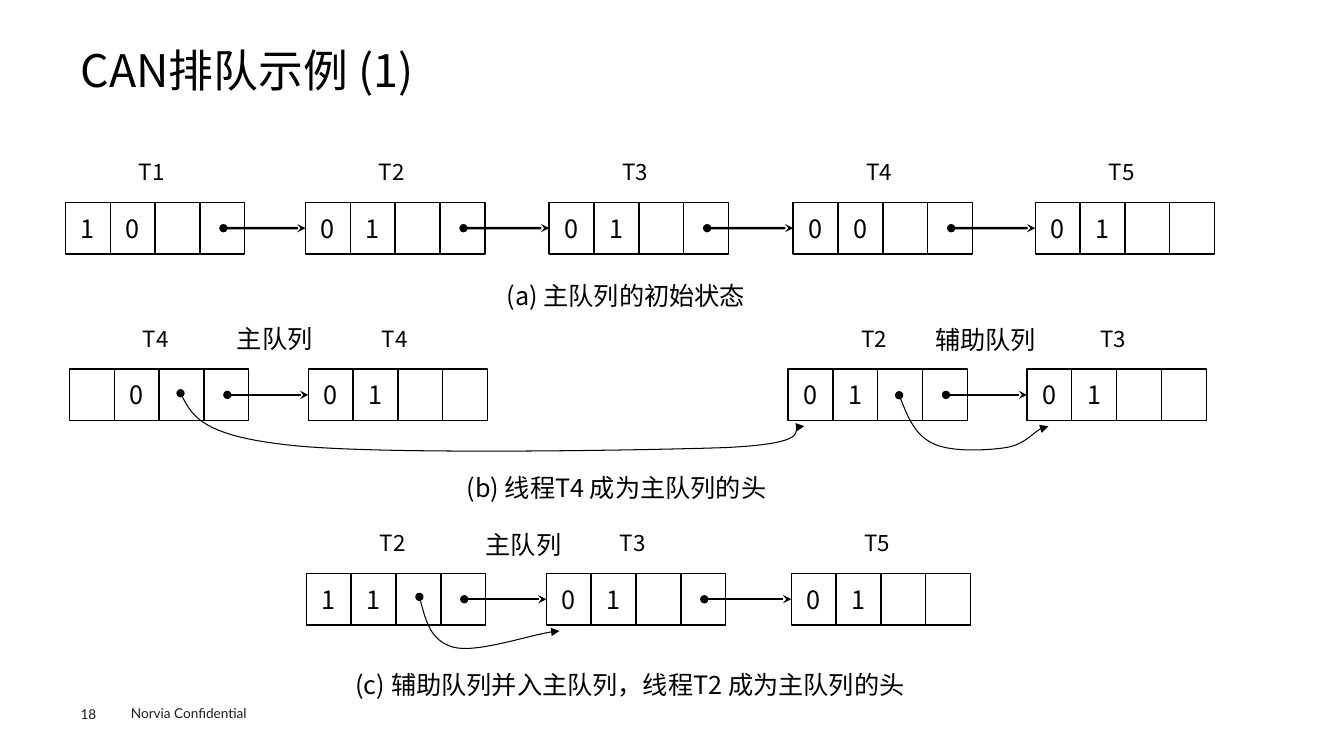
from lxml import etree
from pptx import Presentation
from pptx.dml.color import RGBColor
from pptx.enum.shapes import MSO_CONNECTOR, MSO_SHAPE
from pptx.enum.text import MSO_ANCHOR, MSO_AUTO_SIZE, PP_ALIGN
from pptx.oxml.ns import qn
from pptx.util import Cm, Pt

STRAIGHT = MSO_CONNECTOR.STRAIGHT
RECTANGLE = MSO_SHAPE.RECTANGLE
TOP, MIDDLE = MSO_ANCHOR.TOP, MSO_ANCHOR.MIDDLE
LEFT, CENTER = PP_ALIGN.LEFT, PP_ALIGN.CENTER
NO_AUTOFIT = MSO_AUTO_SIZE.NONE

BLACK = RGBColor(0x00, 0x00, 0x00)
FOOTER_INK = RGBColor(0x1D, 0x1D, 0x1B)
MAIN_FONT, FOOTER_FONT = "Noto Sans CJK SC", "Lato"

# Lengths in centimetres
CELL_W, CELL_H = 1.13, 1.3
LABEL_DX, LABEL_DY, LABEL_W, LABEL_H = 1.6, -1.24, 1.5, 0.94
LINK_DX = 3.98
CAPTION_H = 1.02

# Each chain: top of its cells, then (thread, left, cell values) per node
CHAINS = [
    (5.1, [("T1", 1.65, "10"), ("T2", 7.7, "01"), ("T3", 13.84, "01"),
           ("T4", 19.99, "00"), ("T5", 26.09, "01")]),
    (9.3, [("T4", 1.75, " 0"), ("T4", 7.77, "01")]),
    (9.3, [("T2", 19.86, "01"), ("T3", 25.88, "01")]),
    (14.45, [("T2", 7.72, "11"), ("T3", 13.77, "01"), ("T5", 19.94, "01")]),
]

# Captions and queue names: text, left, top, width, height
CAPTIONS = [
    ("(a) 主队列的初始状态", 12.52, 6.93, 7.01, CAPTION_H),
    ("(b) 线程T4 成为主队列的头", 11.51, 11.4, 8.1, 1.78),
    ("(c) 辅助队列并入主队列，线程T2 成为主队列的头", 8.71, 16.74, 15, CAPTION_H),
    ("主队列", 5.72, 8.03, 2.6, CAPTION_H),
    ("辅助队列", 23.32, 8.05, 3.2, CAPTION_H),
    ("主队列", 11.99, 13.21, 2.6, CAPTION_H),
]

# Curved pointers: a start point, then three Bézier points per segment
CURVES = [
    [(4.55, 9.91), (4.83, 10.46), (5.13, 11), (7.42, 11.23),
     (9.7, 11.46), (16.13, 11.35), (18.26, 11.28),
     (20.42, 11.18), (19.91, 10.57), (20.27, 10.74)],
    [(22.66, 9.96), (22.86, 10.46), (23.06, 10.97), (23.52, 11.18),
     (23.98, 11.4), (24.87, 11.35), (25.35, 11.28),
     (25.83, 11.2), (26.16, 10.74), (26.42, 10.74)],
    [(10.57, 15.04), (10.72, 15.6), (10.85, 16.15), (11.43, 16.31),
     (12.01, 16.46), (13.54, 15.93), (14.1, 15.9)],
]


def write(frame, text, size=18, font=MAIN_FONT, colour=BLACK, align=LEFT,
          anchor=MIDDLE, inset=None, spacing=None):
    frame.word_wrap = True
    frame.auto_size = NO_AUTOFIT
    frame.vertical_anchor = anchor
    if inset is not None:
        frame.margin_left = frame.margin_right = Cm(inset)
        frame.margin_top = frame.margin_bottom = Cm(inset)
    paragraph = frame.paragraphs[0]
    paragraph.alignment = align
    if spacing:
        paragraph.line_spacing = spacing
    run = paragraph.add_run()
    run.text = text
    run.font.size = Pt(size)
    run.font.name = font
    run.font.color.rgb = colour
    east_asian = etree.SubElement(run.font._element, qn("a:ea"))
    east_asian.set("typeface", font)


def add_label(slide, text, left, top, width, height, **style):
    box = slide.shapes.add_textbox(Cm(left), Cm(top), Cm(width), Cm(height))
    write(box.text_frame, text, **style)


def set_arrow(pointer, width, tail):
    """Black line that starts with a dot and ends with an arrowhead."""
    pointer.line.color.rgb = BLACK
    pointer.line.width = Pt(width)
    ln = pointer.line._get_or_add_ln()
    etree.SubElement(ln, qn("a:headEnd")).set("type", "oval")
    etree.SubElement(ln, qn("a:tailEnd")).set("type", tail)


def add_cell(slide, left, top, value):
    cell = slide.shapes.add_shape(RECTANGLE, Cm(left), Cm(top), Cm(CELL_W), Cm(CELL_H))
    cell.shadow.inherit = False
    cell.fill.background()
    cell.line.color.rgb = BLACK
    cell.line.width = Pt(1)
    if value.strip():
        write(cell.text_frame, value, align=CENTER, inset=0)
    return cell


def add_node(slide, thread, left, top, values):
    """Four cells under a thread name; returns the first cell."""
    cells = [add_cell(slide, left + i * CELL_W, top, value)
             for i, value in enumerate(values.ljust(4))]
    add_label(slide, thread, left + LABEL_DX, top + LABEL_DY, LABEL_W, LABEL_H, size=16)
    return cells[0]


def add_link(slide, left, top, target):
    y = Cm(top + CELL_H / 2)
    link = slide.shapes.add_connector(STRAIGHT, Cm(left + LINK_DX), y, target.left, y)
    link.end_connect(target, 1)
    set_arrow(link, 1.75, "stealth")
    etree.SubElement(link._element.spPr, qn("a:effectLst"))


def add_chain(slide, top, nodes):
    previous_left = None
    for thread, left, values in nodes:
        first_cell = add_node(slide, thread, left, top, values)
        if previous_left is not None:
            add_link(slide, previous_left, top, first_cell)
        previous_left = left


def add_curve(slide, points):
    start, *rest = [(Cm(x), Cm(y)) for x, y in points]
    builder = slide.shapes.build_freeform(*start)
    builder.add_line_segments(rest, close=False)
    curve = builder.convert_to_shape()
    curve.shadow.inherit = False
    curve.fill.background()
    set_arrow(curve, 0.75, "triangle")
    # Turn every three line segments into one cubic segment
    segments = list(curve._element.iter(qn("a:lnTo")))
    outline = segments[0].getparent()
    for i in range(0, len(segments), 3):
        cubic = etree.SubElement(outline, qn("a:cubicBezTo"))
        for segment in segments[i:i + 3]:
            cubic.append(segment[0])
            outline.remove(segment)


def add_title(slide, text):
    title = slide.shapes.title
    title.left, title.top, title.width, title.height = Cm(2.03), Cm(1.24), Cm(29.8), Cm(1.37)
    write(title.text_frame, text, size=32, anchor=TOP, inset=0, spacing=0.9)


def main():
    deck = Presentation()
    deck.slide_width, deck.slide_height = Cm(33.87), Cm(19.05)
    slide = deck.slides.add_slide(deck.slide_layouts[5])

    # Title and footer
    add_title(slide, "CAN排队示例 (1)")
    footer = {"size": 9.7, "font": FOOTER_FONT, "colour": FOOTER_INK, "anchor": TOP}
    add_label(slide, "Norvia Confidential", 3.05, 17.65, 4.06, 0.69, **footer)
    add_label(slide, "18", 2.03, 17.78, 1.4, 0.41, inset=0, **footer)

    # Queues with their links
    for top, nodes in CHAINS:
        add_chain(slide, top, nodes)
    for points in CURVES:
        add_curve(slide, points)

    # Captions and queue names
    for caption in CAPTIONS:
        add_label(slide, *caption)

    deck.save("out.pptx")


if __name__ == "__main__":
    main()
